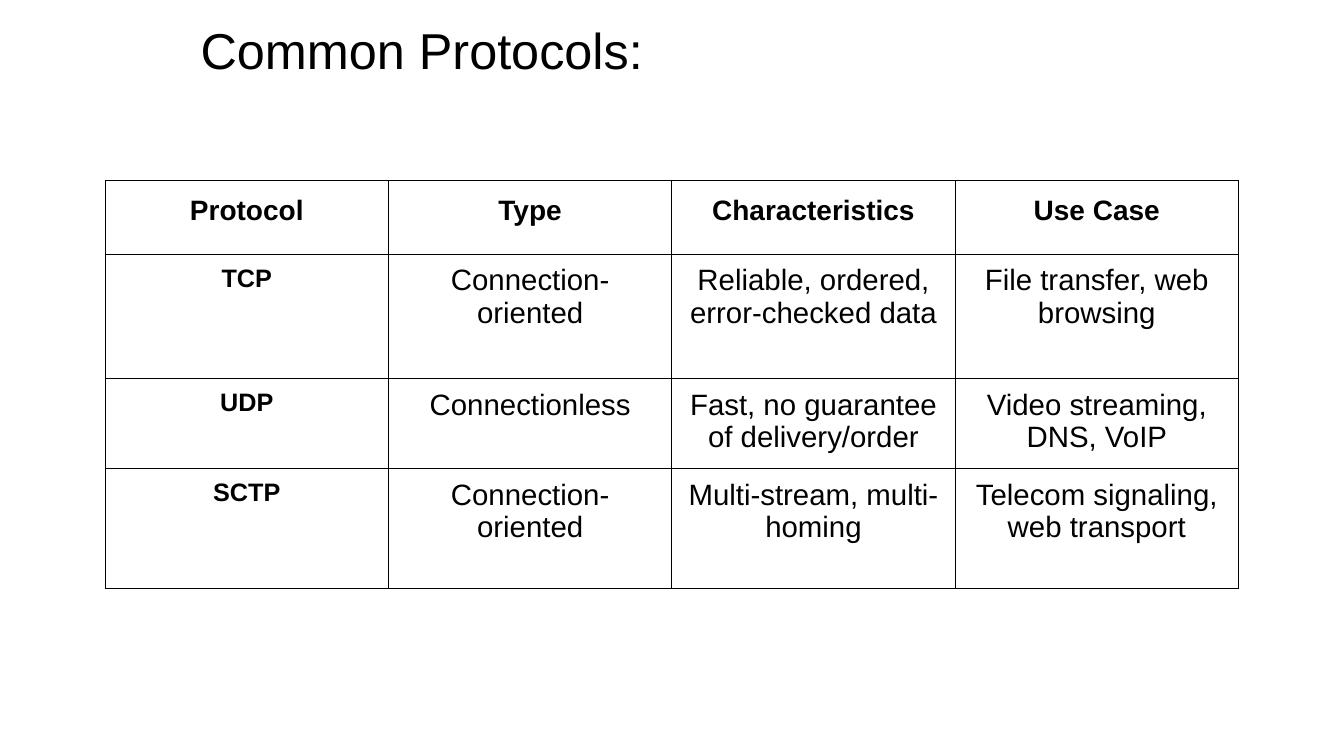
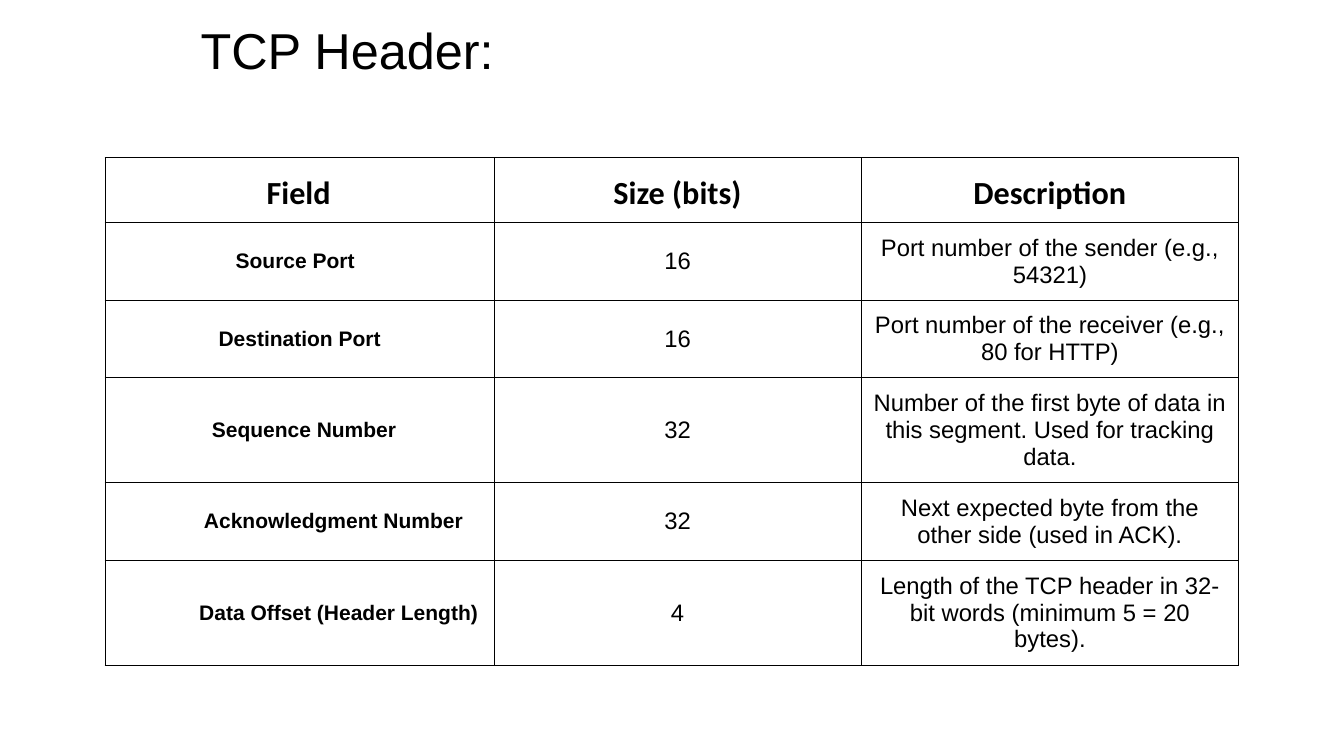
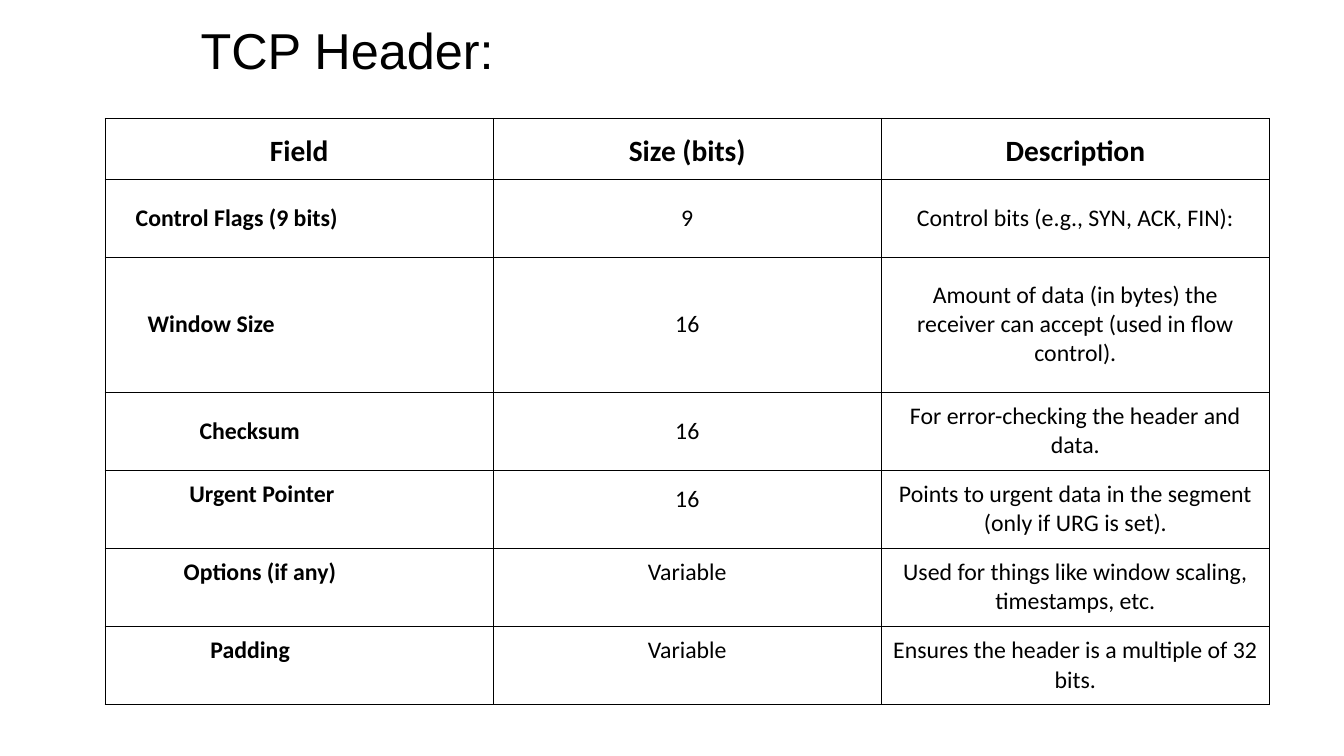
from dataclasses import dataclass

from pptx import Presentation
from pptx.dml.color import RGBColor
from pptx.enum.text import MSO_ANCHOR, MSO_AUTO_SIZE, PP_ALIGN
from pptx.oxml import parse_xml
from pptx.oxml.ns import nsdecls
from pptx.util import Cm, Pt

HUES = {"ink": "000000", "paper": "FFFFFF"}
LEFT = 2.65
PAD = 0.25
LINE = Pt(0.75)
LOOSE = 1.15


@dataclass
class Row:
    high: float
    cells: list[str]
    inset: float | None = None  # left margin of the label; centred if None
    mid: bool = True
    loose: tuple[int, ...] = ()  # columns with wider line spacing


@dataclass
class Font:
    name: str
    size: float
    bold: bool = False


@dataclass
class Sheet:
    title: str
    top: float
    wide: list[float]
    head: Font
    label: Font
    body: Font
    rows: list[Row]


SHEETS = [
    Sheet(
        "Common Protocols:", 4.55, [7.14] * 4,
        Font("Arial", 20, True), Font("Arial", 18, True), Font("Arial", 21),
        [
            Row(1.86, ["Protocol", "Type", "Characteristics", "Use Case"],
                mid=False, loose=(0, 1, 2, 3)),
            Row(3.13, ["TCP", "Connection-oriented",
                       "Reliable, ordered, error-checked data",
                       "File transfer, web browsing"], mid=False),
            Row(2.27, ["UDP", "Connectionless",
                       "Fast, no guarantee of delivery/order",
                       "Video streaming, DNS, VoIP"], mid=False),
            Row(3.02, ["SCTP", "Connection-oriented",
                       "Multi-stream, multi-homing",
                       "Telecom signaling, web transport"], mid=False),
        ],
    ),
    Sheet(
        "TCP Header:", 3.97, [9.8, 9.25, 9.52],
        Font("Calibri", 23, True), Font("Arial", 15, True), Font("Arial", 17),
        [
            Row(1.64, ["Field", "Size (bits)", "Description"],
                4.07, mid=False, loose=(0, 1, 2)),
            Row(1.95, ["Source Port", "16",
                       "Port number of the sender (e.g., 54321)"], 3.29),
            Row(1.95, ["Destination Port", "16",
                       "Port number of the receiver (e.g., 80 for HTTP)"]),
            Row(2.65, ["Sequence Number", "32",
                       "Number of the first byte of data in this segment. "
                       "Used for tracking data."], 2.69),
            Row(1.95, ["Acknowledgment Number", "32",
                       "Next expected byte from the other side (used in ACK)."],
                2.49),
            Row(2.65, ["Data Offset (Header Length)", "4",
                       "Length of the TCP header in 32-bit words "
                       "(minimum 5 = 20 bytes)."], 2.37),
        ],
    ),
    Sheet(
        "TCP Header:", 2.98, [9.78] * 3,
        Font("Calibri", 21, True), Font("Calibri", 17, True), Font("Calibri", 17),
        [
            Row(1.51, ["Field", "Size (bits)", "Description"],
                mid=False, loose=(0, 1, 2)),
            Row(1.96, ["Control Flags (9 bits)", "9",
                       "Control bits (e.g., SYN, ACK, FIN):"], 0.77),
            Row(3.4, ["Window Size", "16",
                      "Amount of data (in bytes) the receiver can accept "
                      "(used in flow control)."], 1.07),
            Row(1.96, ["Checksum", "16",
                       "For error-checking the header and data."], 2.38),
            Row(1.96, ["Urgent Pointer", "16",
                       "Points to urgent data in the segment "
                       "(only if URG is set)."], 2.12, mid=False, loose=(1,)),
            Row(1.96, ["Options (if any)", "Variable",
                       "Used for things like window scaling, timestamps, etc."],
                1.98, mid=False),
            Row(1.96, ["Padding", "Variable",
                       "Ensures the header is a multiple of 32 bits."],
                2.65, mid=False),
        ],
    ),
]


def hue(name: str) -> RGBColor:
    return RGBColor.from_string(HUES[name])


def style(para, font: Font) -> None:
    for run in para.runs:
        run.font.name = font.name
        run.font.size = Pt(font.size)
        run.font.bold = font.bold
        run.font.color.rgb = hue("ink")


def border(cell) -> None:
    props = cell._tc.get_or_add_tcPr()
    for spot, side in enumerate("LRTB"):
        props.insert(spot, parse_xml(
            f'<a:ln{side} {nsdecls("a")} w="{LINE}"><a:solidFill>'
            f'<a:srgbClr val="{HUES["ink"]}"/></a:solidFill></a:ln{side}>'))


def add_title(slide, text: str) -> None:
    shape = slide.shapes.title
    shape.left, shape.top = Cm(4.8), Cm(0.36)
    shape.width, shape.height = Cm(28.35), Cm(1.8)
    frame = shape.text_frame
    frame.text = text
    frame.word_wrap = True
    frame.auto_size = MSO_AUTO_SIZE.NONE
    frame.vertical_anchor = MSO_ANCHOR.TOP
    para = frame.paragraphs[0]
    para.alignment = PP_ALIGN.LEFT
    style(para, Font("Arial", 36))


def fill_cell(cell, text: str, font: Font, row: Row, col: int) -> None:
    cell.fill.solid()
    cell.fill.fore_color.rgb = hue("paper")
    border(cell)
    shift = col == 0 and row.inset is not None
    cell.margin_left = Cm(row.inset if shift else PAD)
    cell.margin_right = cell.margin_top = cell.margin_bottom = Cm(PAD)
    cell.vertical_anchor = MSO_ANCHOR.MIDDLE if row.mid else MSO_ANCHOR.TOP
    cell.text_frame.text = text
    para = cell.text_frame.paragraphs[0]
    para.alignment = PP_ALIGN.LEFT if shift else PP_ALIGN.CENTER
    if col in row.loose:
        para.line_spacing = LOOSE
    style(para, font)


def add_grid(slide, sheet: Sheet) -> None:
    table = slide.shapes.add_table(
        len(sheet.rows), len(sheet.wide), Cm(LEFT), Cm(sheet.top),
        Cm(sum(sheet.wide)), Cm(sum(row.high for row in sheet.rows))).table
    table.horz_banding = False
    for col, wide in enumerate(sheet.wide):
        table.columns[col].width = Cm(wide)
    for line, row in enumerate(sheet.rows):
        table.rows[line].height = Cm(row.high)
        for col, text in enumerate(row.cells):
            if line == 0:
                font = sheet.head
            else:
                font = sheet.body if col else sheet.label
            fill_cell(table.cell(line, col), text, font, row, col)


def main() -> None:
    deck = Presentation()
    deck.slide_width, deck.slide_height = Cm(33.87), Cm(19.05)
    for sheet in SHEETS:
        slide = deck.slides.add_slide(deck.slide_layouts[5])
        add_title(slide, sheet.title)
        add_grid(slide, sheet)
    deck.save("out.pptx")


if __name__ == "__main__":
    main()
